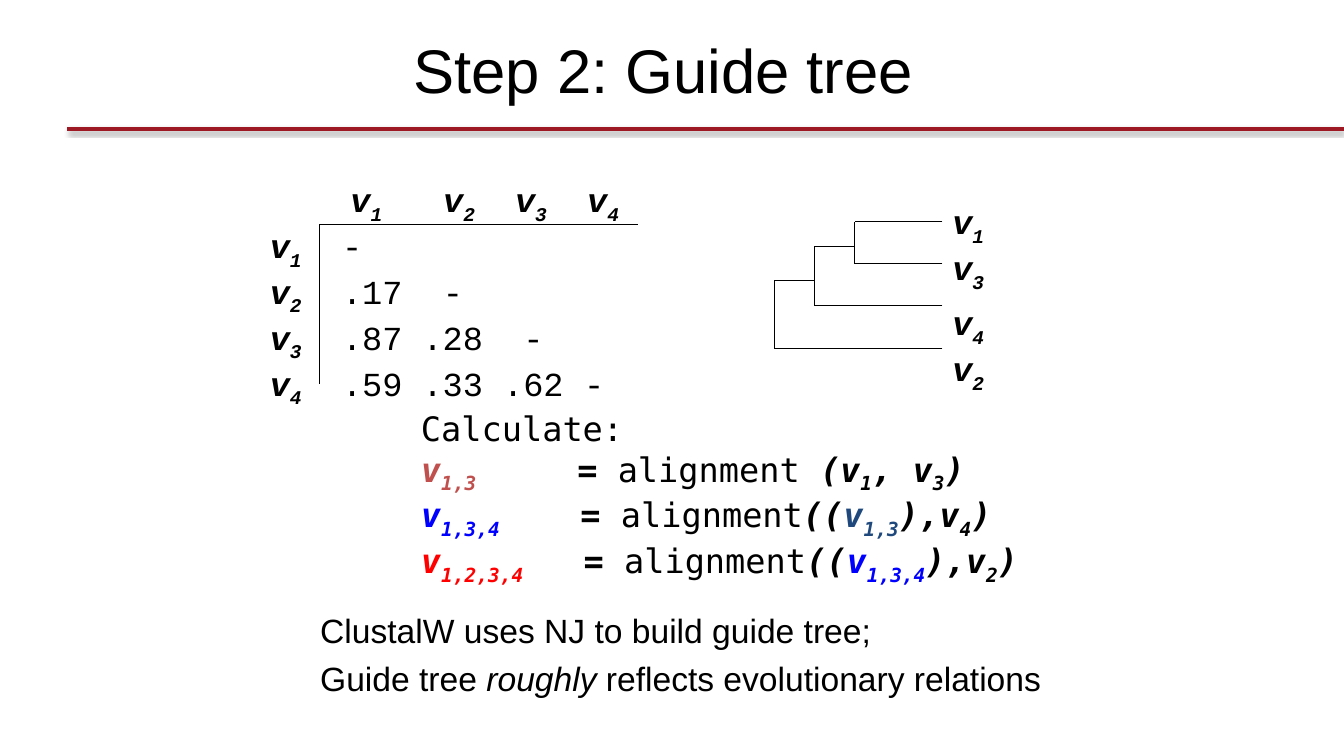
import lxml.etree
import pptx
import pptx.dml.color
import pptx.enum.shapes
import pptx.enum.text
import pptx.oxml
import pptx.oxml.ns
import pptx.util

Cm = pptx.util.Cm
Pt = pptx.util.Pt
RGBColor = pptx.dml.color.RGBColor
qn = pptx.oxml.ns.qn

BLACK = RGBColor(0x00, 0x00, 0x00)
CRIMSON = RGBColor(0x9D, 0x19, 0x24)
BRICK = RGBColor(0xC0, 0x50, 0x4D)
NAVY = RGBColor(0x1F, 0x49, 0x7D)
BLUE = RGBColor(0x00, 0x00, 0xFF)
RED = RGBColor(0xFF, 0x00, 0x00)
SANS = "Arial"
COURIER = "Courier New"
MONO = "DejaVu Sans Mono"
VARIABLE = {"bold": True, "italic": True}


def add_text(paragraph, text, font=SANS, size=24, color=BLACK, bold=False, italic=False):
    """Add runs to a paragraph; parts in square brackets become subscripts."""
    for index, part in enumerate(text.replace("]", "[").split("[")):
        if part:
            run = paragraph.add_run()
            run.text = part
            run.font.name = font
            run.font.size = Pt(size)
            run.font.color.rgb = color
            run.font.bold = bold
            run.font.italic = italic
            if index % 2:
                run.font._element.set("baseline", "-25000")


def set_tabs(paragraph, positions):
    properties = paragraph._p.get_or_add_pPr()
    tab_list = lxml.etree.SubElement(properties, qn("a:tabLst"))
    for position in positions:
        lxml.etree.SubElement(tab_list, qn("a:tab"), pos=str(Cm(position)), algn="l")


presentation = pptx.Presentation()
presentation.slide_width = Cm(33.87)
presentation.slide_height = Cm(19.05)
slide = presentation.slides.add_slide(presentation.slide_layouts[5])

title = slide.shapes.title
title.left, title.top, title.width, title.height = Cm(6.78), Cm(0.97), Cm(19.89), Cm(1.78)
title_frame = title.text_frame
title_frame.margin_left = title_frame.margin_right = 0
title_frame.margin_top = title_frame.margin_bottom = 0
title_frame.vertical_anchor = pptx.enum.text.MSO_ANCHOR.MIDDLE
title_frame.auto_size = pptx.enum.text.MSO_AUTO_SIZE.NONE
title_paragraph = title_frame.paragraphs[0]
title_paragraph.alignment = pptx.enum.text.PP_ALIGN.CENTER
title_paragraph.line_spacing = 0.9
add_text(title_paragraph, "Step 2: Guide tree", size=44)

leaf_x, inner_x, middle_x, root_x = 23.75, 21.54, 20.52, 19.51
leaf_y = [5.59 + 1.06 * leaf for leaf in range(4)]
inner_y, middle_y = 6.22, 7.06
tree_lines = [
    (leaf_x, y, x, y) for x, y in zip((inner_x, inner_x, middle_x, root_x), leaf_y)
] + [
    (inner_x, leaf_y[0], inner_x, leaf_y[1]),
    (inner_x, inner_y, middle_x, inner_y),
    (middle_x, inner_y, middle_x, leaf_y[2]),
    (middle_x, middle_y, root_x, middle_y),
    (root_x, middle_y, root_x, leaf_y[3]),
]
matrix_lines = [(8.05, 5.66, 8.05, 9.68), (8.05, 5.66, 16.08, 5.66)]
title_rule = (1.7, 3.25, 33.87, 3.25)

for ends in [title_rule] + tree_lines + matrix_lines:
    is_rule = ends == title_rule
    line = slide.shapes.add_connector(
        pptx.enum.shapes.MSO_CONNECTOR.STRAIGHT, *(Cm(end) for end in ends)
    )
    line.line.color.rgb = CRIMSON if is_rule else BLACK
    line.line.width = Pt(3 if is_rule else 0.75)
    effects = lxml.etree.SubElement(line._element.spPr, qn("a:effectLst"))
    if is_rule:
        shadow = lxml.etree.SubElement(
            effects, qn("a:outerShdw"),
            blurRad=str(Pt(3.1)), dist=str(Pt(1.6)), dir="5400000", rotWithShape="0",
        )
        shadow_color = lxml.etree.SubElement(shadow, qn("a:srgbClr"), val="000000")
        lxml.etree.SubElement(shadow_color, qn("a:alpha"), val="38000")

boxes = {
    "leaves": (23.75, 4.95, 1.88, 4.57, 4),
    "matrix": (6.55, 4.39, 9.58, 5.38, 5),
    "alignments": (10.36, 10.16, 16.71, 4.37, 4),
    "notes": (7.82, 15.24, 18.85, 2.51, 2),
}
paragraphs = {}
for name, (left, top, width, height, count) in boxes.items():
    frame = slide.shapes.add_textbox(Cm(left), Cm(top), Cm(width), Cm(height)).text_frame
    frame.word_wrap = True
    for _ in range(count - 1):
        frame.add_paragraph()
    paragraphs[name] = frame.paragraphs

for paragraph, leaf in zip(paragraphs["leaves"], (1, 3, 4, 2)):
    add_text(paragraph, f"v[{leaf}]", font=COURIER, **VARIABLE)
paragraphs["leaves"][2].line_spacing = 1.2

header, *rows = paragraphs["matrix"]
set_tabs(header, (2.03, 4.37, 6.18, 8.0))
add_text(header, "\tv[1]\tv[2]\tv[3]\tv[4]", font=COURIER, **VARIABLE)
distances = [("-",), (".17", "-"), (".87", ".28", "-"), (".59", ".33", ".62", "-")]
value_tabs = [1.82 + 2.03 * column for column in range(3)]
dash_tabs = (1.82, 4.36, 6.39, 7.92)
for index, (paragraph, values) in enumerate(zip(rows, distances)):
    set_tabs(paragraph, value_tabs[:index] + [dash_tabs[index]])
    add_text(paragraph, f"v[{index + 1}]", font=COURIER, **VARIABLE)
    add_text(paragraph, "\t" + "\t".join(values), font=COURIER)

heading, *steps = paragraphs["alignments"]
add_text(heading, "Calculate:", font=MONO)
alignments = [
    ("v[1,3]", BRICK, 3.94, " (", "v[1]", BLACK, ", v[3])"),
    ("v[1,3,4]", BLUE, 4.02, "((", "v[1,3]", NAVY, "),v[4])"),
    ("v[1,2,3,4]", RED, 4.1, "((", "v[1,3,4]", BLUE, "),v[2])"),
]
for paragraph, alignment in zip(steps, alignments):
    result, result_color, equals_tab, opening, first, first_color, rest = alignment
    set_tabs(paragraph, [equals_tab])
    add_text(paragraph, result, font=MONO, color=result_color, **VARIABLE)
    add_text(paragraph, "\t= ", font=MONO, **VARIABLE)
    add_text(paragraph, "alignment", font=MONO)
    add_text(paragraph, opening, font=MONO, **VARIABLE)
    add_text(paragraph, first, font=MONO, color=first_color, **VARIABLE)
    add_text(paragraph, rest, font=MONO, **VARIABLE)

method, caveat = paragraphs["notes"]
add_text(method, "ClustalW uses NJ to build guide tree;")
caveat.space_before = Pt(5.5)
add_text(caveat, "Guide tree ")
add_text(caveat, "roughly", italic=True)
add_text(caveat, " reflects evolutionary relations")

presentation.save("out.pptx")
